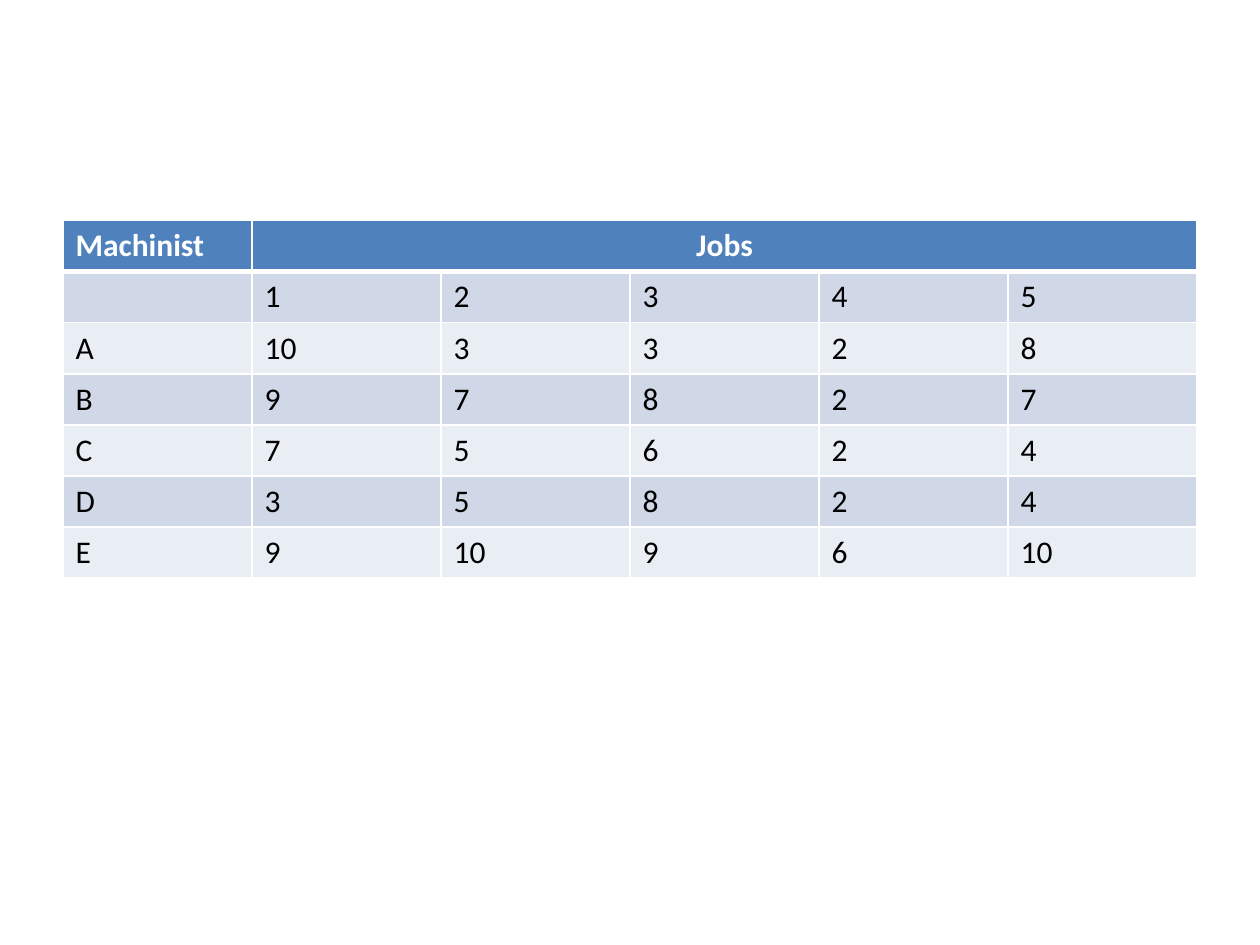
from lxml.etree import SubElement
from pptx import Presentation
from pptx.dml.color import RGBColor
from pptx.enum.text import PP_ALIGN
from pptx.oxml.ns import qn
from pptx.util import Pt

HEADER = ["Machinist", "Jobs", "", "", "", ""]
BODY = [
    ["", 1, 2, 3, 4, 5],
    ["A", 10, 3, 3, 2, 8],
    ["B", 9, 7, 8, 2, 7],
    ["C", 7, 5, 6, 2, 4],
    ["D", 3, 5, 8, 2, 4],
    ["E", 9, 10, 9, 6, 10],
]
HEADER_FILL = "4F81BD"
BAND_FILLS = ["D0D8E8", "E9EDF4"]
WHITE, BLACK = "FFFFFF", "000000"


def color(value):
    """Turn a hex string into a colour."""
    return RGBColor.from_string(value)


def set_borders(cell, top, bottom):
    """Draw white cell borders, with the given top and bottom widths in points."""
    properties = cell._tc.get_or_add_tcPr()
    for tag, width in (("lnL", 1), ("lnR", 1), ("lnT", top), ("lnB", bottom)):
        line = SubElement(properties, qn(f"a:{tag}"), w=str(Pt(width)))
        fill = SubElement(line, qn("a:solidFill"))
        SubElement(fill, qn("a:srgbClr"), val=WHITE)


def style_cell(cell, text, fill, ink, bold, top=1, bottom=1):
    """Write one cell with its borders, fill and font."""
    set_borders(cell, top, bottom)
    cell.fill.solid()
    cell.fill.fore_color.rgb = color(fill)
    cell.text = str(text)
    font = cell.text_frame.paragraphs[0].font
    font.name, font.size, font.bold = "Calibri", Pt(18), bold
    font.color.rgb = color(ink)


def add_jobs_table(page, left, top, width, height):
    """Place the table of machinists and jobs in the given box."""
    table = page.shapes.add_table(
        len(BODY) + 1, len(HEADER), Pt(left), Pt(top), Pt(width), Pt(height)
    ).table
    for column, text in enumerate(HEADER):
        style_cell(table.cell(0, column), text, HEADER_FILL, WHITE, True, bottom=3)
    for row, values in enumerate(BODY, start=1):
        fill = BAND_FILLS[(row - 1) % 2]
        for column, text in enumerate(values):
            style_cell(table.cell(row, column), text, fill, BLACK, False,
                       top=3 if row == 1 else 1)
    jobs = table.cell(0, 1)
    jobs.merge(table.cell(0, len(HEADER) - 1))
    jobs.text_frame.paragraphs[0].alignment = PP_ALIGN.CENTER


def main():
    """Build and save the deck."""
    deck = Presentation()
    deck.slide_width, deck.slide_height = Pt(720), Pt(540)
    page = deck.slides.add_slide(deck.slide_layouts[6])
    add_jobs_table(page, 36, 126, 648, 204.4)
    deck.save("out.pptx")


if __name__ == "__main__":
    main()
